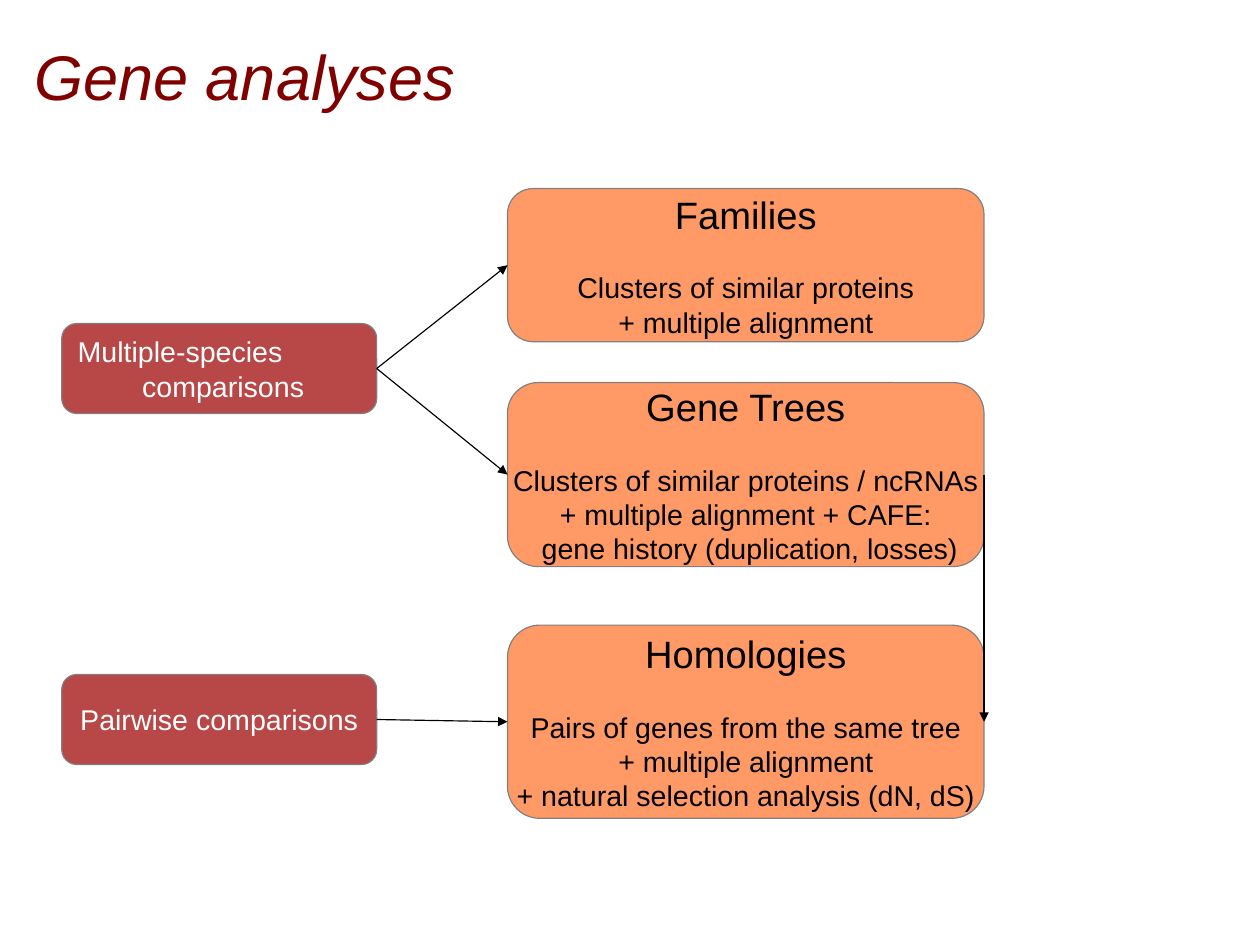
from dataclasses import dataclass

import pptx
import pptx.dml.color
import pptx.enum.shapes
import pptx.enum.text
import pptx.oxml
import pptx.oxml.ns
import pptx.util

Pt = pptx.util.Pt
MSO_SHAPE = pptx.enum.shapes.MSO_SHAPE
ALIGN = pptx.enum.text.PP_ALIGN
ANCHOR = pptx.enum.text.MSO_ANCHOR
LEFT, RIGHT = 1, 3  # connection sites


@dataclass(frozen=True)
class Theme:
    font: str = "Arial"
    title: str = "800000"
    result: str = "FF9966"
    method: str = "B84747"
    outline: str = "808080"
    dark: str = "000000"
    light: str = "FFFFFF"
    title_size: float = 39.7
    heading_size: float = 24
    body_size: float = 18
    line_width: float = 0.75
    heading_gap: float = 21


@dataclass(frozen=True)
class Line:
    text: str
    size: float
    align: ALIGN = ALIGN.CENTER
    before: float = 0
    indent: float = 0


@dataclass(frozen=True)
class Box:
    name: str
    top: float
    height: float
    lines: list[Line]


@dataclass(frozen=True)
class Column:
    shape: MSO_SHAPE
    left: float
    width: float
    fill: str
    ink: str
    wrap: bool
    boxes: list[Box]


@dataclass(frozen=True)
class Arrow:
    start: str
    start_site: int
    end: str
    end_site: int


THEME = Theme()


def rgb(value: str) -> pptx.dml.color.RGBColor:
    return pptx.dml.color.RGBColor.from_string(value)


def result_lines(heading: str, *body: str) -> list[Line]:
    lines = [Line(heading, THEME.heading_size)]
    for i, text in enumerate(body):
        gap = THEME.heading_gap if i == 0 else 0
        lines.append(Line(text, THEME.body_size, before=gap))
    return lines


RESULTS = Column(MSO_SHAPE.ROUNDED_RECTANGLE, 319.7, 300.2,
                 THEME.result, THEME.dark, False, [
    Box("families", 118.8, 96.5, result_lines(
        "Families", "Clusters of similar proteins", "+ multiple alignment")),
    Box("trees", 241, 115.9, result_lines(
        "Gene Trees", "Clusters of similar proteins / ncRNAs",
        "+ multiple alignment + CAFE:", " gene history (duplication, losses)")),
    Box("homologies", 393.8, 121.7, result_lines(
        "Homologies", "Pairs of genes from the same tree",
        "+ multiple alignment", "+ natural selection analysis (dN, dS)")),
])
METHODS = Column(MSO_SHAPE.FLOWCHART_ALTERNATE_PROCESS, 38.9, 198.4,
                 THEME.method, THEME.light, True, [
    Box("pairwise", 424.9, 56.7, [Line("Pairwise comparisons", THEME.body_size)]),
    Box("multiple", 203.8, 56.7, [
        Line("Multiple-species", THEME.body_size, ALIGN.LEFT, indent=7.3),
        Line("comparisons", THEME.body_size, indent=5)]),
])
ARROWS = [
    Arrow("multiple", RIGHT, "families", LEFT),
    Arrow("multiple", RIGHT, "trees", LEFT),
    Arrow("pairwise", RIGHT, "homologies", LEFT),
    Arrow("trees", RIGHT, "homologies", RIGHT),
]


def format_frame(tf, anchor: ANCHOR, wrap: bool = True) -> None:
    settings = {"word_wrap": wrap, "vertical_anchor": anchor,
                "auto_size": pptx.enum.text.MSO_AUTO_SIZE.NONE,
                "margin_left": 0, "margin_right": 0,
                "margin_top": 0, "margin_bottom": 0}
    for key, value in settings.items():
        setattr(tf, key, value)


def add_text(p, line: Line, ink: str, italic: bool = False) -> None:
    p.alignment = line.align
    p.space_before = Pt(line.before)
    if line.indent:
        p._p.get_or_add_pPr().set("marL", str(Pt(line.indent)))
    r = p.add_run()
    r.text = line.text
    settings = {"name": THEME.font, "size": Pt(line.size), "italic": italic}
    for key, value in settings.items():
        setattr(r.font, key, value)
    r.font.color.rgb = rgb(ink)


def add_title(s, text: str) -> None:
    sp = s.shapes.title
    place = {"left": 21.6, "top": 23.8, "width": 714.2, "height": 99.4}
    for key, value in place.items():
        setattr(sp, key, Pt(value))
    format_frame(sp.text_frame, ANCHOR.TOP)
    add_text(sp.text_frame.paragraphs[0],
             Line(text, THEME.title_size, ALIGN.LEFT), THEME.title, italic=True)


def add_box(s, column: Column, box: Box):
    sp = s.shapes.add_shape(column.shape, Pt(column.left), Pt(box.top),
                            Pt(column.width), Pt(box.height))
    sp.shadow.inherit = False
    sp.fill.solid()
    sp.fill.fore_color.rgb = rgb(column.fill)
    sp.line.color.rgb = rgb(THEME.outline)
    sp.line.width = Pt(THEME.line_width)
    tf = sp.text_frame
    format_frame(tf, ANCHOR.MIDDLE, column.wrap)
    for i, line in enumerate(box.lines):
        p = tf.add_paragraph() if i else tf.paragraphs[0]
        add_text(p, line, column.ink)
    return sp


def add_arrow(s, arrow: Arrow, shapes: dict) -> None:
    c = s.shapes.add_connector(pptx.enum.shapes.MSO_CONNECTOR.STRAIGHT, 0, 0, 0, 0)
    c.begin_connect(shapes[arrow.start], arrow.start_site)
    c.end_connect(shapes[arrow.end], arrow.end_site)
    c.line.color.rgb = rgb(THEME.dark)
    c.line.width = Pt(THEME.line_width)
    # Arrowhead and no shadow
    ns = pptx.oxml.ns.nsdecls("a")
    c.line._get_or_add_ln().append(
        pptx.oxml.parse_xml(f'<a:tailEnd {ns} type="triangle"/>'))
    c._element.spPr.append(pptx.oxml.parse_xml(f"<a:effectLst {ns}/>"))


def main() -> None:
    prs = pptx.Presentation()
    prs.slide_width, prs.slide_height = Pt(793.7), Pt(595.28)
    s = prs.slides.add_slide(prs.slide_layouts[5])
    add_title(s, "Gene analyses")

    # Boxes, then the arrows that join them
    shapes = {box.name: add_box(s, column, box)
              for column in (RESULTS, METHODS) for box in column.boxes}
    for arrow in ARROWS:
        add_arrow(s, arrow, shapes)
    prs.save("out.pptx")


if __name__ == "__main__":
    main()
